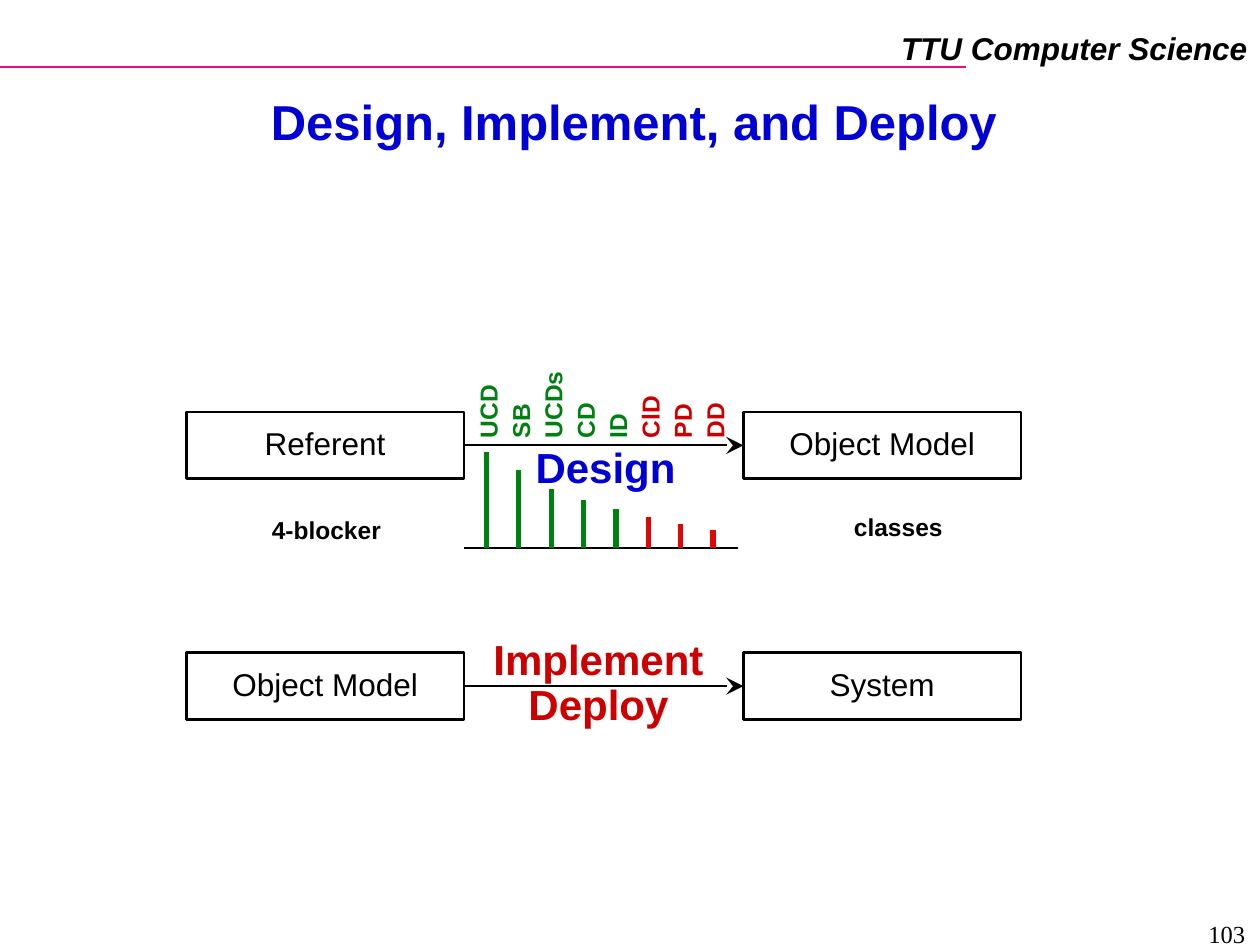
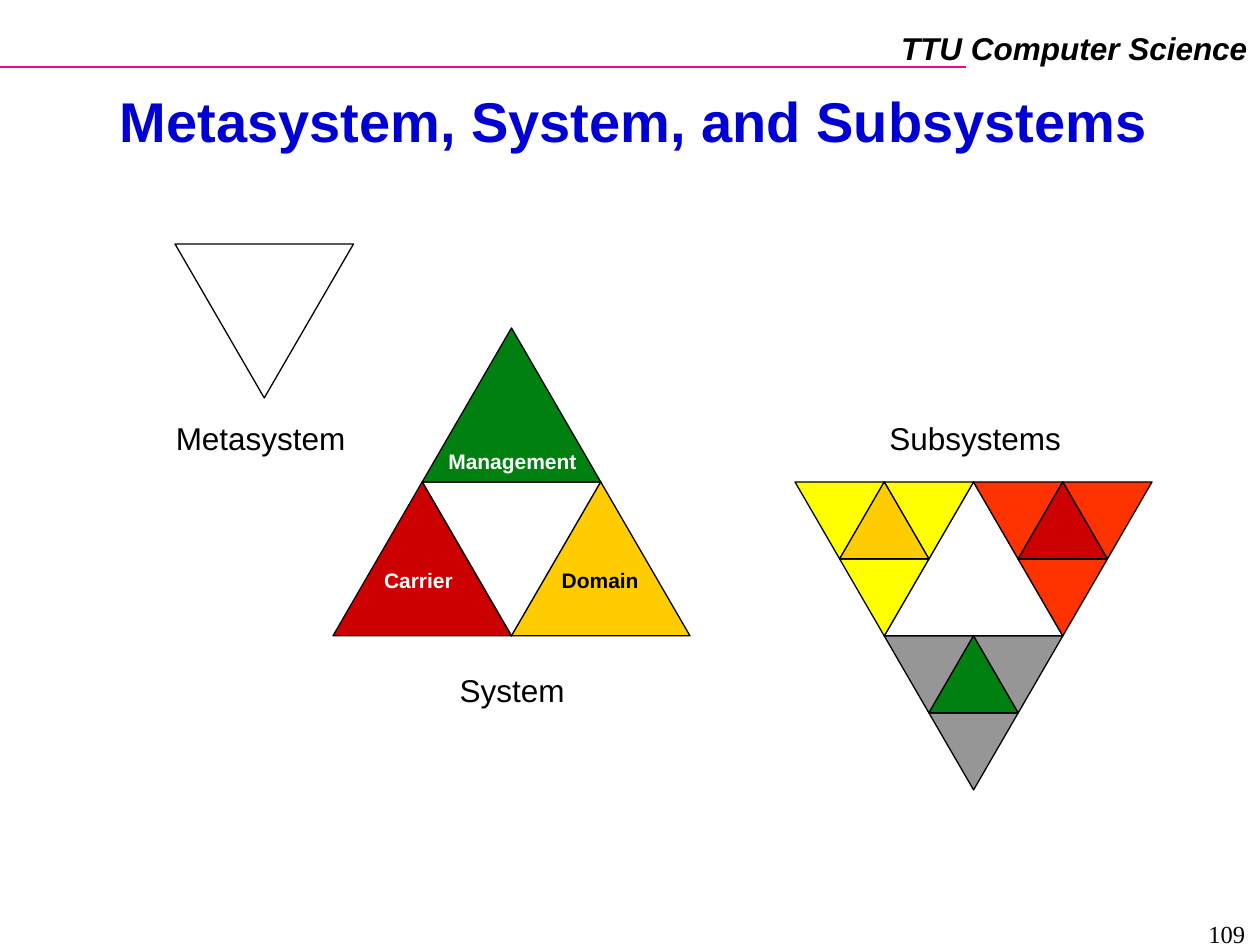
from lxml.etree import SubElement
from pptx import Presentation
from pptx.dml.color import RGBColor
from pptx.enum.shapes import MSO_CONNECTOR, MSO_SHAPE
from pptx.enum.text import MSO_ANCHOR, MSO_AUTO_SIZE, PP_ALIGN
from pptx.oxml.ns import qn
from pptx.util import Pt

BLACK, WHITE = "000000", "FFFFFF"
BLUE, PINK = "0000D4", "F20884"
GREEN, RED, BAR_RED = "008011", "CC0000", "DD0806"
GOLD, YELLOW, ORANGE, GREY = "FFCC00", "FFFF00", "FF3300", "969696"

SIDE, HEIGHT = 102, 88  # one full-size triangle
BOX_WIDTH, BOX_HEIGHT = 158.6, 38.2
LEFT_BOX, RIGHT_BOX = 106.5, 424.8
CHART_BASE = 313.2


def rgb(color):
    return RGBColor.from_string(color)


def format_text(text_frame, size, color=BLACK, bold=False, italic=False,
                align=PP_ALIGN.LEFT, spacing=1.0, font_name="Arial"):
    for paragraph in text_frame.paragraphs:
        paragraph.alignment = align
        paragraph.line_spacing = spacing
        for run in paragraph.runs:
            run.font.name = font_name
            run.font.size = Pt(size)
            run.font.bold = bold
            run.font.italic = italic
            run.font.color.rgb = rgb(color)


def add_text(slide, text, left, top, width, height, size, rotation=0, **style):
    shape = slide.shapes.add_textbox(Pt(left), Pt(top), Pt(width), Pt(height))
    shape.rotation = rotation
    text_frame = shape.text_frame
    text_frame.word_wrap = True
    text_frame.auto_size = MSO_AUTO_SIZE.NONE
    text_frame.text = text
    format_text(text_frame, size, **style)


def add_line(slide, start, end, color=BLACK, width=1):
    connector = slide.shapes.add_connector(
        MSO_CONNECTOR.STRAIGHT, *(Pt(value) for value in start + end))
    connector.line.color.rgb = rgb(color)
    connector.line.width = Pt(width)
    SubElement(connector.element.spPr, qn("a:effectLst"))
    return connector


def add_outlined(slide, kind, left, top, width, height, line_width, fill=None):
    """Add a preset shape with a black outline and an optional fill."""
    shape = slide.shapes.add_shape(kind, Pt(left), Pt(top), Pt(width), Pt(height))
    shape.shadow.inherit = False
    if fill:
        shape.fill.solid()
        shape.fill.fore_color.rgb = rgb(fill)
    else:
        shape.fill.background()
    shape.line.color.rgb = rgb(BLACK)
    shape.line.width = Pt(line_width)
    return shape


def add_box(slide, text, left, top):
    shape = add_outlined(slide, MSO_SHAPE.RECTANGLE, left, top,
                         BOX_WIDTH, BOX_HEIGHT, 1.5)
    shape.text_frame.text = text
    shape.text_frame.vertical_anchor = MSO_ANCHOR.MIDDLE
    format_text(shape.text_frame, 18, align=PP_ALIGN.CENTER, spacing=0.9)
    return shape


def add_step(slide, source, target, top):
    """Add two boxes joined by an arrow."""
    source_box = add_box(slide, source, LEFT_BOX, top)
    target_box = add_box(slide, target, RIGHT_BOX, top)
    middle = top + BOX_HEIGHT / 2
    arrow = add_line(slide, (LEFT_BOX + BOX_WIDTH, middle), (RIGHT_BOX, middle))
    arrow.begin_connect(source_box, 3)
    arrow.end_connect(target_box, 1)
    SubElement(arrow.element.spPr.find(qn("a:ln")), qn("a:tailEnd"),
               type="stealth", w="lg", len="lg")


def add_triangle(slide, left, top, fill=None, scale=1.0, inverted=False):
    shape = add_outlined(slide, MSO_SHAPE.ISOSCELES_TRIANGLE, left, top,
                         SIDE * scale, HEIGHT * scale, 0.75, fill)
    shape.rotation = 180 if inverted else 0


def add_subsystem(slide, left, top, outer, inner):
    """Add an inverted triangle made of three half-size ones around a fourth."""
    for across, down in ((0, 0), (0.5, 0), (0.25, 0.5)):
        add_triangle(slide, left + across * SIDE, top + down * HEIGHT,
                     outer, 0.5, inverted=True)
    add_triangle(slide, left + SIDE / 4, top, inner, 0.5)


def add_slide(presentation, title_text, title_size, number):
    """Add a slide with the shared rule, header, title and page number."""
    slide = presentation.slides.add_slide(presentation.slide_layouts[5])
    add_line(slide, (0, 38.2), (552.2, 38.2), PINK)
    add_text(slide, "TTU Computer Science", 500, 13, 220, 28.8, 18,
             bold=True, italic=True, align=PP_ALIGN.RIGHT)
    title = slide.shapes.title
    title.left, title.top, title.width, title.height = (
        Pt(value) for value in (38.2, 51.5, 648, 39.6))
    title.text_frame.text = title_text
    title.text_frame.auto_size = MSO_AUTO_SIZE.NONE
    title.text_frame.vertical_anchor = MSO_ANCHOR.MIDDLE
    format_text(title.text_frame, title_size, BLUE, bold=True,
                align=PP_ALIGN.CENTER, spacing=0.87)
    add_text(slide, number, 550.8, 521.7, 167.8, 15.8, 14,
             align=PP_ALIGN.RIGHT, font_name="Times New Roman")
    return slide


def add_diagram_bars(slide):
    """Add the shrinking bars and their upright labels along the design arrow."""
    label_width, label_height, label_bottom = 66, 22.3, 257.5
    bars = (("UCD", 54.7), ("SB", 44.6), ("UCDs", 33.8), ("CD", 27.4),
            ("ID", 22.3), ("ClD", 18), ("PD", 13.7), ("DD", 10.1))
    add_line(slide, (265, CHART_BASE), (422, CHART_BASE))
    for index, (label, height) in enumerate(bars):
        designed = index < 5
        x = 278 + 18.5 * index
        add_line(slide, (x, CHART_BASE - height), (x, CHART_BASE),
                 GREEN if designed else BAR_RED, 3)
        add_text(slide, label, x + 1.9 - label_width / 2,
                 label_bottom - (label_width + label_height) / 2,
                 label_width, label_height, 14, rotation=270,
                 color=GREEN if designed else RED, bold=True, spacing=0.9)


def build_design_slide(presentation):
    slide = add_slide(presentation, "Design, Implement, and Deploy", 28, "103")
    add_step(slide, "Referent", "Object Model", 235.4)
    add_step(slide, "Object Model", "System", 373)
    add_diagram_bars(slide)
    centred = {"bold": True, "align": PP_ALIGN.CENTER, "spacing": 0.9}
    add_text(slide, "4-blocker", 133.2, 292.5, 106.6, 22.3, 14, **centred)
    add_text(slide, "classes", 460, 290.9, 106.6, 22.3, 14, **centred)
    add_text(slide, "Implement\nDeploy", 267, 361.6, 150, 59, 24, color=RED, **centred)
    add_text(slide, "Design", 291, 252, 110, 33.1, 24, color=BLUE, **centred)


def build_system_slide(presentation):
    slide = add_slide(presentation, "Metasystem, System, and Subsystems", 32, "109")
    middle = 275.4

    left = 454.3
    add_triangle(slide, left + SIDE / 2, middle)
    add_subsystem(slide, left + SIDE / 2, middle + HEIGHT, GREY, GREEN)
    add_subsystem(slide, left, middle, YELLOW, GOLD)
    add_subsystem(slide, left + SIDE, middle, ORANGE, RED)

    left = 190.3
    add_triangle(slide, left + SIDE / 2, middle - HEIGHT, GREEN)
    add_triangle(slide, left + SIDE / 2, middle, inverted=True)
    add_triangle(slide, left, middle, RED)
    add_triangle(slide, left + SIDE, middle, GOLD)

    add_triangle(slide, 100, 139.4, inverted=True)

    for text, text_left, top, width in (("System", 255.6, 379.7, 84),
                                        ("Metasystem", 93.4, 235.7, 122),
                                        ("Subsystems", 501.2, 235.7, 122)):
        add_text(slide, text, text_left, top, width, 28.8, 18)
    for text, text_left, top, width, color in (
            ("Domain", 313.9, 320.6, 66, BLACK),
            ("Management", 249.1, 252.8, 96, WHITE),
            ("Carrier", 212.4, 320.6, 62, WHITE)):
        add_text(slide, text, text_left, top, width, 21.6, 12, color=color, bold=True)


def main():
    presentation = Presentation()
    presentation.slide_width, presentation.slide_height = Pt(720), Pt(540)
    build_design_slide(presentation)
    build_system_slide(presentation)
    presentation.save("out.pptx")


if __name__ == "__main__":
    main()
